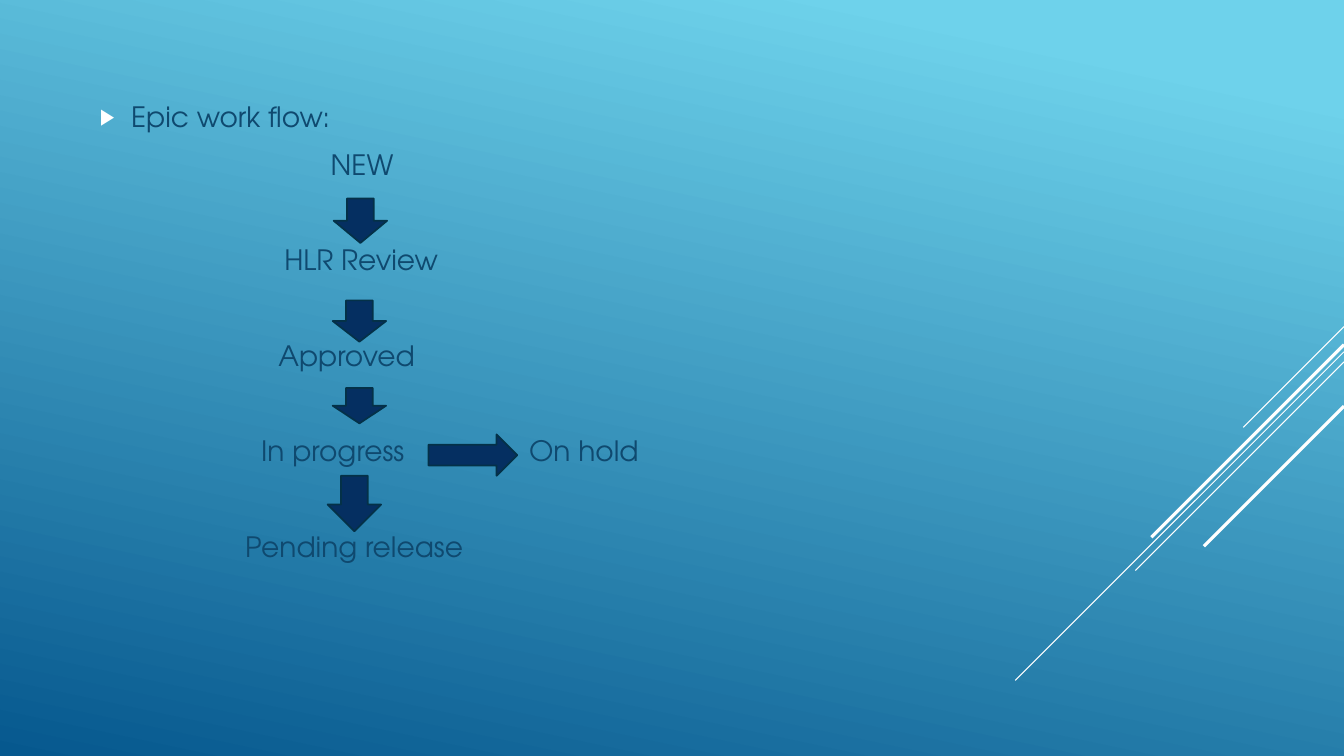
from lxml import etree
from pptx import Presentation
from pptx.dml.color import RGBColor
from pptx.enum.shapes import MSO_CONNECTOR, MSO_SHAPE
from pptx.enum.text import MSO_ANCHOR, MSO_AUTO_SIZE
from pptx.oxml.ns import qn
from pptx.util import Inches, Pt

FONT = "TeX Gyre Adventor"
TEXT, ARROW, ARROW_EDGE, WHITE = "0F496F", "052F61", "043148", "FFFFFF"
BACKGROUND = [(0.1, "6ED2EB"), (1, "06588E")]

HEADING = "Epic work flow:"
# Workflow state, indent, space before in points
STATES = [
    ("NEW", 2.29, 10),
    ("HLR Review", 1.83, 44.2),
    ("Approved", 1.77, 44.2),
    ("In progress", 1.6, 44.2),
    ("Pending release", 1.44, 44.2),
]
SIDE_STATE = "On hold"

# Left, top, height of the arrows between states
DOWN_ARROWS = [(3.31, 1.97, 0.44), (3.3, 2.98, 0.41), (3.3, 3.85, 0.35), (3.25, 4.72, 0.55)]
DOWN_WIDTH = 0.53
HOLD_ARROW = (4.25, 4.31, 0.88, 0.41)

# Diagonal rays from the right edge: start height, run, line width
RIGHT_EDGE = 13.33
RAYS = [(3.24, 1, 0.75), (3.49, 3.26, 0.75), (3.59, 2.07, 0.75), (3.42, 1.91, 2.25), (4.03, 1.39, 2.25)]


def rgb(color):
    return RGBColor.from_string(color)


def style_text(paragraph):
    paragraph.font.name = FONT
    paragraph.font.size = Pt(20)
    paragraph.font.color.rgb = rgb(TEXT)


def set_indent(paragraph, left, first=0):
    properties = paragraph._p.get_or_add_pPr()
    properties.set("marL", str(Inches(left)))
    properties.set("indent", str(Inches(first)))
    return properties


def add_arrow(preset, *box):
    arrow = slide.shapes.add_shape(preset, *map(Inches, box))
    arrow.shadow.inherit = False
    arrow.fill.solid()
    arrow.fill.fore_color.rgb = rgb(ARROW)
    arrow.line.color.rgb = rgb(ARROW_EDGE)
    arrow.line.width = Pt(1.25)


deck = Presentation()
deck.slide_width, deck.slide_height = Inches(RIGHT_EDGE), Inches(7.5)
slide = deck.slides.add_slide(deck.slide_layouts[1])
title = slide.shapes.title
title.element.getparent().remove(title.element)

# Background
backdrop = slide.background.fill
backdrop.gradient()
backdrop.gradient_angle = 360 - 102
for stop, (position, color) in zip(backdrop.gradient_stops, BACKGROUND):
    stop.position = position
    stop.color.rgb = rgb(color)

# Diagonal rays
for top, run, width in RAYS:
    ends = (RIGHT_EDGE, top, RIGHT_EDGE - run, top + run)
    ray = slide.shapes.add_connector(MSO_CONNECTOR.STRAIGHT, *map(Inches, ends))
    ray.line.color.rgb = rgb(WHITE)
    ray.line.width = Pt(width)
    etree.SubElement(ray._element.spPr, qn("a:effectLst"))

# Heading and main states
body = slide.placeholders[1]
body.left, body.top, body.width, body.height = map(Inches, (0.89, 0.94, 9.33, 5.32))
flow = body.text_frame
flow.auto_size = MSO_AUTO_SIZE.NONE
flow.vertical_anchor = MSO_ANCHOR.TOP
heading = flow.paragraphs[0]
heading.text = HEADING
heading.space_before = Pt(0)
bullet = set_indent(heading, 0.31, -0.31)
bullet_color = etree.SubElement(bullet, qn("a:buClr"))
etree.SubElement(bullet_color, qn("a:srgbClr"), val=WHITE)
etree.SubElement(bullet, qn("a:buSzPct"), val="80000")
etree.SubElement(bullet, qn("a:buChar"), char="\u25b6")
style_text(heading)

for name, indent, gap in STATES:
    state = flow.add_paragraph()
    state.text = name
    state.space_before = Pt(gap)
    etree.SubElement(set_indent(state, indent), qn("a:buNone"))
    style_text(state)

# Side state
side = slide.shapes.add_textbox(*map(Inches, (5.15, 4.25, 1.6, 0.45))).text_frame
side.word_wrap = True
side.text = SIDE_STATE
style_text(side.paragraphs[0])

# Arrows
for left, top, height in DOWN_ARROWS:
    add_arrow(MSO_SHAPE.DOWN_ARROW, left, top, DOWN_WIDTH, height)
add_arrow(MSO_SHAPE.RIGHT_ARROW, *HOLD_ARROW)

deck.save("out.pptx")
